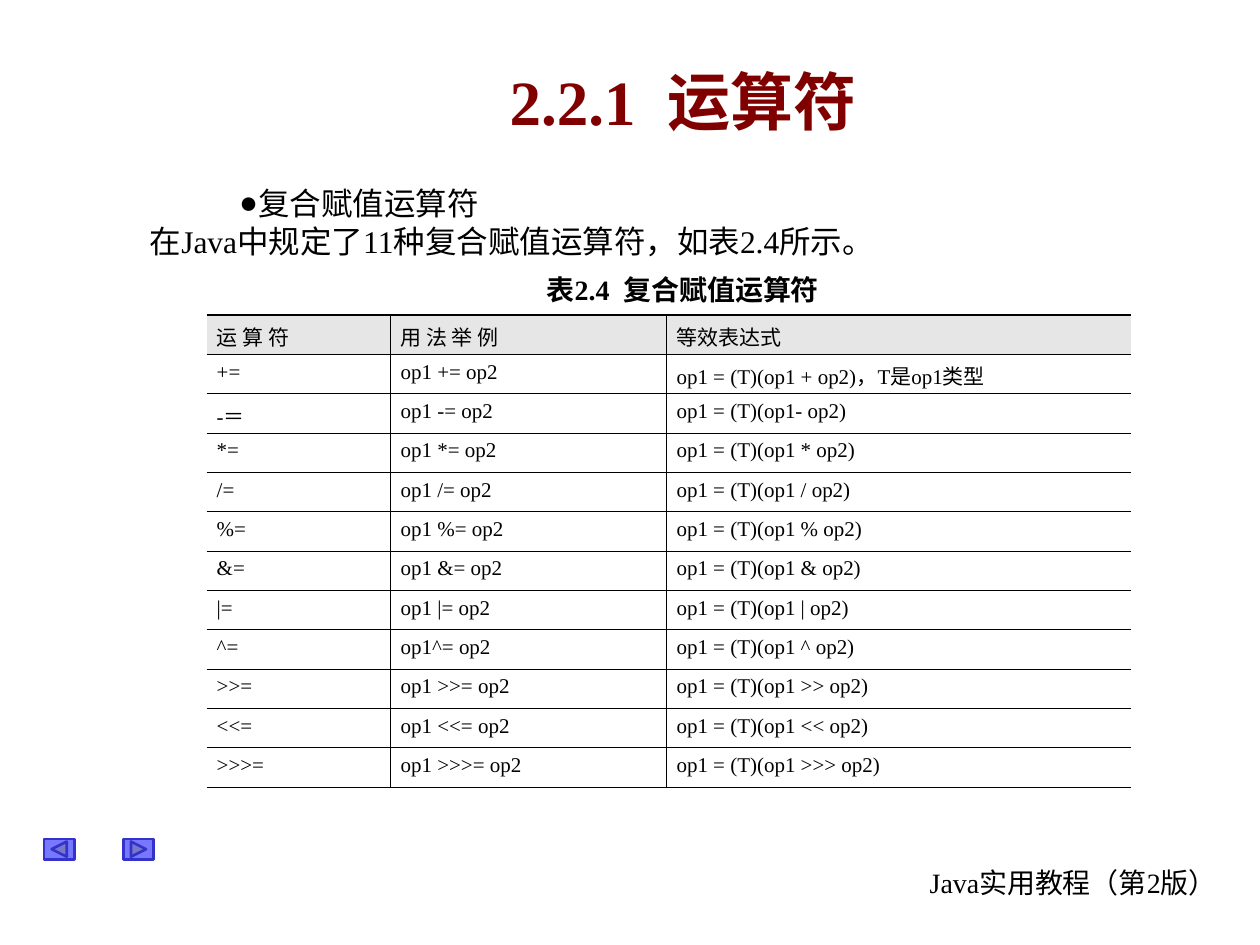
import pptx
import pptx.util
import pptx.dml.color
import pptx.enum.shapes
import pptx.enum.text
import pptx.oxml.ns
import lxml.etree

WIDE, HIGH = 10, 7.5
COLORS = {"ink": "000000", "title": "800000", "head": "E6E6E6",
          "button": "0000FF", "edge": "3333CC"}
FONT = "Times New Roman"
ALIGN = pptx.enum.text.PP_ALIGN
ANCHOR = pptx.enum.text.MSO_ANCHOR
SHAPE = pptx.enum.shapes.MSO_SHAPE
qn = pptx.oxml.ns.qn

HEADS = ["运 算 符", "用 法 举 例", "等效表达式"]
SIGNS = ["+", "-", "*", "/", "%", "&", "|", "^", ">>", "<<", ">>>"]
# Cells whose wording departs from the general rule, by row and column
SPECIAL = {(1, 2): "op1 = (T)(op1 + op2)，T是op1类型", (2, 0): "-＝",
           (2, 2): "op1 = (T)(op1- op2)", (8, 1): "op1^= op2"}
COLUMNS = [1.46, 2.19, 3.69]


def color(name):
    return pptx.dml.color.RGBColor.from_string(COLORS[name])


def place(left, top, width, height):
    """Turn percent of the slide's size into lengths."""
    sides = (WIDE, HIGH, WIDE, HIGH)
    return [pptx.util.Inches(part * side / 100)
            for part, side in zip((left, top, width, height), sides)]


def style(para, size, ink="ink", bold=False, align=ALIGN.LEFT):
    para.alignment = align
    form = {"name": FONT, "size": pptx.util.Pt(size), "bold": bold}
    for key, value in form.items():
        setattr(para.font, key, value)
    para.font.color.rgb = color(ink)


def add_text(slide, area, lines, size, anchor=ANCHOR.TOP, **look):
    frame = slide.shapes.add_textbox(*place(*area)).text_frame
    frame.word_wrap = True
    frame.vertical_anchor = anchor
    frame.text = "\n".join(lines)
    for para in frame.paragraphs:
        style(para, size, **look)
    return frame


def add_bullet(para, indent):
    props = para._p.get_or_add_pPr()
    props.set("marL", "0")
    props.set("indent", str(pptx.util.Inches(indent)))
    lxml.etree.SubElement(props, qn("a:buFont")).set("typeface", FONT)
    lxml.etree.SubElement(props, qn("a:buChar")).set("char", "●")


def add_button(slide, area, kind):
    shape = slide.shapes.add_shape(kind, *place(*area))
    shape.shadow.inherit = False
    shape.fill.solid()
    shape.fill.fore_color.rgb = color("button")
    tint = shape._element.spPr.find(qn("a:solidFill"))[0]
    lxml.etree.SubElement(tint, qn("a:alpha")).set("val", "53000")
    shape.line.color.rgb = color("edge")
    shape.line.width = pptx.util.Pt(1.5)


def add_border(cell, side, width):
    props = cell._tc.get_or_add_tcPr()
    line = lxml.etree.SubElement(props, qn("a:ln" + side))
    if not width:
        lxml.etree.SubElement(line, qn("a:noFill"))
        return
    line.set("w", str(pptx.util.Pt(width)))
    fill = lxml.etree.SubElement(line, qn("a:solidFill"))
    lxml.etree.SubElement(fill, qn("a:srgbClr")).set("val", COLORS["ink"])


def format_cell(cell, text, widths, head):
    for side, width in widths.items():
        add_border(cell, side, width)
    if head:
        cell.fill.solid()
        cell.fill.fore_color.rgb = color("head")
    else:
        cell.fill.background()
    form = {"margin_left": 0.08, "margin_right": 0.08,
            "margin_top": 0.05, "margin_bottom": 0.05}
    for key, value in form.items():
        setattr(cell, key, pptx.util.Inches(value))
    cell.text = text
    style(cell.text_frame.paragraphs[0], 12, align=ALIGN.JUSTIFY)


def add_grid(slide, area):
    rows = [HEADS] + [[f"{sign}=", f"op1 {sign}= op2",
                       f"op1 = (T)(op1 {sign} op2)"] for sign in SIGNS]
    end = len(HEADS) - 1
    table = slide.shapes.add_table(len(rows), len(HEADS), *place(*area)).table
    table.first_row = table.horz_banding = False
    for col, width in zip(table.columns, COLUMNS):
        col.width = pptx.util.Inches(width)
    for r, row in enumerate(rows):
        for c, text in enumerate(row):
            # Thick rule on top, thin ones elsewhere, sides open
            widths = {"L": 0.45 if c else 0, "R": 0.45 if c < end else 0,
                      "T": 0.45 if r else 0.75, "B": 0.45}
            format_cell(table.cell(r, c), SPECIAL.get((r, c), text),
                        widths, r == 0)


def main():
    deck = pptx.Presentation()
    deck.slide_width = pptx.util.Inches(WIDE)
    deck.slide_height = pptx.util.Inches(HIGH)
    slide = deck.slides.add_slide(deck.slide_layouts[6])

    # Footer and page buttons
    add_text(slide, (72.8, 90.93, 25.2, 8.53), ["Java实用教程（第2版）"], 16)
    add_button(slide, (9.8, 88.8, 2.4, 2.13),
               SHAPE.ACTION_BUTTON_FORWARD_OR_NEXT)
    add_button(slide, (3.5, 88.8, 2.4, 2.13),
               SHAPE.ACTION_BUTTON_BACK_OR_PREVIOUS)

    # Title and lead-in
    add_text(slide, (11.7, 5.6, 85, 10), ["2.2.1  运算符"], 36,
             anchor=ANCHOR.MIDDLE, ink="title", bold=True, align=ALIGN.CENTER)
    lead = add_text(slide, (10.9, 18.8, 85.9, 13.33),
                    ["复合赋值运算符",
                     "在Java中规定了11种复合赋值运算符，如表2.4所示。"], 18)
    add_bullet(lead.paragraphs[0], 0.71)

    # Table with its caption, whose narrow side margins keep it on one line
    add_grid(slide, (16.4, 33.33, 73.4, 50))
    note = add_text(slide, (41.9, 28.13, 24.6, 4.93),
                    ["表2.4  复合赋值运算符"], 16,
                    anchor=ANCHOR.MIDDLE, bold=True, align=ALIGN.CENTER)
    note.margin_left = note.margin_right = 0
    deck.save("out.pptx")


if __name__ == "__main__":
    main()
